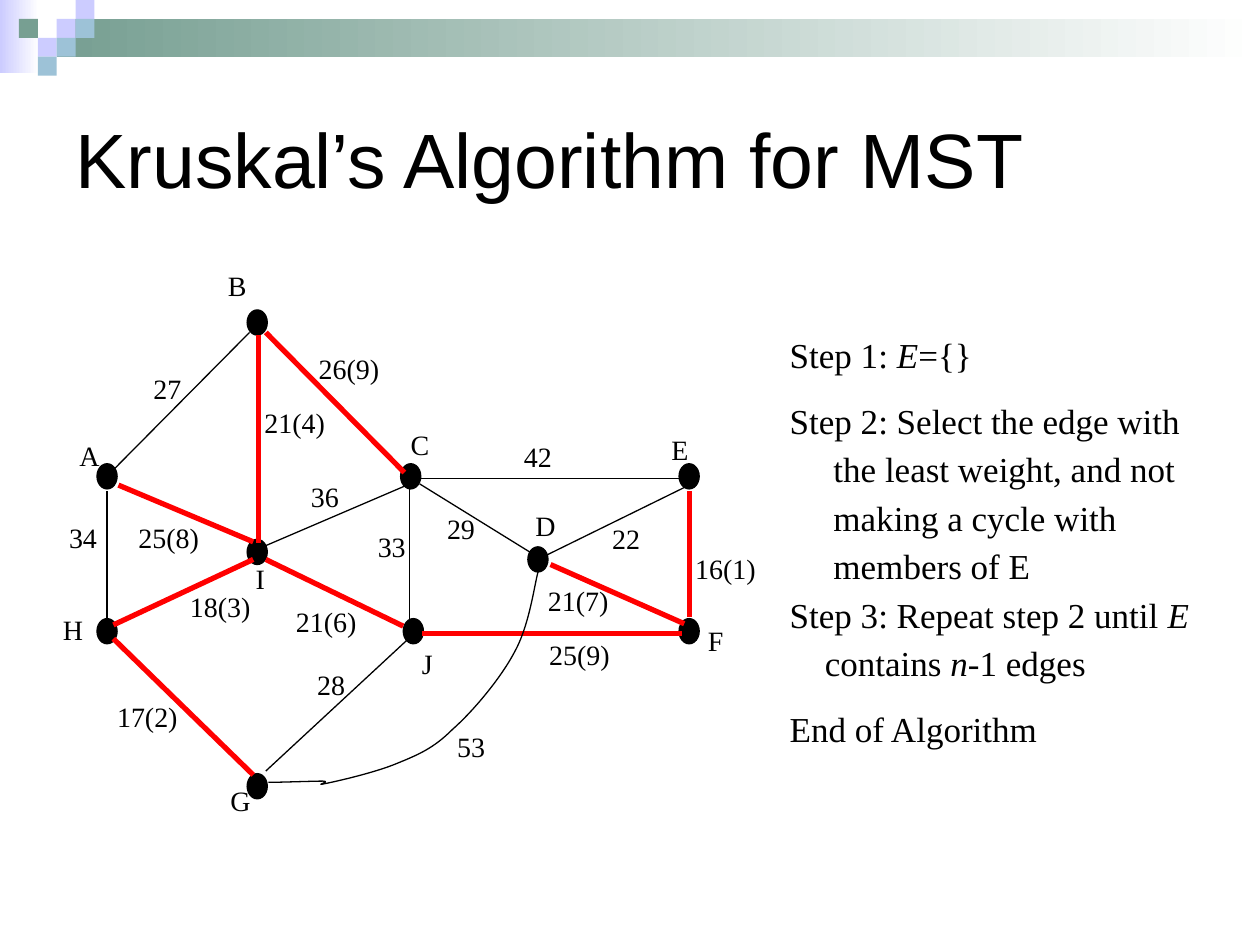
from dataclasses import dataclass

from lxml import etree
from pptx import Presentation
from pptx.dml.color import RGBColor
from pptx.enum.shapes import MSO_CONNECTOR, MSO_SHAPE
from pptx.enum.text import MSO_ANCHOR, PP_ALIGN
from pptx.oxml.ns import qn
from pptx.util import Pt

RECT = MSO_SHAPE.RECTANGLE
OVAL = MSO_SHAPE.OVAL
LINE = MSO_CONNECTOR.STRAIGHT
MIDDLE = MSO_ANCHOR.MIDDLE
TOP = MSO_ANCHOR.TOP
LEFT = PP_ALIGN.LEFT
JUST = PP_ALIGN.JUSTIFY


@dataclass(frozen=True)
class Theme:
    ink: str = "000000"
    tree: str = "FF0000"
    white: str = "FFFFFF"
    lilac: str = "CCCCFF"
    green: str = "779F92"
    blue: str = "9DC2D7"
    sans: str = "Arial"
    serif: str = "Times New Roman"
    title: float = 44
    body: float = 20
    label: float = 16
    thin: float = 0.75
    thick: float = 3


T = Theme()
CELL = 10.8
NODE = (11.5, 14.4)

TILES = [(4, 0, T.lilac), (3, 1, T.lilac), (4, 1, T.blue), (2, 2, T.lilac),
         (1, 1, T.green), (3, 2, T.blue), (2, 3, T.blue)]

NODES = {
    "B": ((147, 184.3), (123.1, 149.8, 49.7, 47.5)),
    "A": ((61.2, 272.2), (38.2, 247, 27.4, 32.4)),
    "C": ((234.7, 272.2), (227.5, 240.5, 28.1, 28.1)),
    "H": ((61.2, 360.7), (28.8, 346.3, 25.9, 31)),
    "J": ((236.2, 360.7), (234, 365.8, 23.8, 28.8)),
    "G": ((147, 449.3), (124.6, 444.2, 19.4, 28.1)),
    "I": ((147, 315.4), (139, 317.5, 27.4, 28.8)),
    "E": ((393.8, 272.2), (376.6, 243.4, 24.5, 25.2)),
    "F": ((393.8, 360.7), (397.4, 352.8, 23, 24.5)),
    "D": ((307.4, 319.7), (298.8, 287.3, 31.7, 25.2)),
}

EDGES = [
    ("27", (64, 269.3, 142.6, 190), (80.6, 208.8, 32.4, 29.5)),
    ("34", (61.2, 280.8, 61.2, 359.3), (32.4, 293.8, 31, 24.5)),
    ("26(9)", (151.9, 190, 231.1, 270), (175, 197.3, 71.3, 25.9)),
    ("17(2)", (64.8, 365, 144.7, 442.8), (59.8, 396, 64.1, 28.8)),
    ("28", (151.9, 440.6, 232.6, 365.8), (174.2, 378, 31, 29.5)),
    ("33", (234, 360, 234, 278.6), (208.8, 298.8, 33.8, 30.2)),
    ("25(8)", (67.7, 277.2, 144.7, 309.6), (72, 293.8, 50.4, 27.4)),
    ("18(3)", (64.8, 357.1, 144.7, 319.7), (101.5, 333.4, 54.7, 30.2)),
    ("36", (151.9, 311.8, 232.6, 277.2), (170.6, 270.7, 33.1, 31)),
    ("21(6)", (151.9, 319.7, 230.4, 357.8), (162, 342, 54, 28.8)),
    ("21(4)", (147.6, 191.5, 147.6, 310.3), (144, 228.2, 81.4, 31)),
    ("42", (239.8, 273.6, 388.1, 273.6), (292.3, 247.7, 37.4, 33.1)),
    ("25(9)", (241.2, 362.2, 389.5, 362.2), (306.7, 360.7, 53.3, 33.1)),
    ("16(1)", (393.8, 352.8, 393.8, 280.8), (390.2, 311.8, 59, 27.4)),
    ("29", (239.8, 276.5, 303.8, 316.1), (248.4, 288.7, 60.5, 52.6)),
    ("22", (311.8, 317.5, 391, 278.6), (342.7, 294.5, 31, 29.5)),
    ("21(7)", (314.6, 322.6, 391, 356.4), (306, 329.8, 54, 23.8)),
]

BEND = [
    (307.4, 326.9),
    (305.3, 334.8), (302.4, 357.8), (293.8, 373),
    (285.8, 388.1), (270, 406.8), (258.5, 416.9),
    (247.7, 427.7), (239, 431.3), (226.8, 436.3),
    (214.6, 441.4), (193, 446.4), (185.8, 447.8),
    (178.6, 449.3), (190.1, 446.4), (184.3, 446.4),
    (179.3, 446.4), (159.8, 447.1), (153.4, 447.1),
]

STEPS = [
    (12.5, 0, [("Step 1: ", False), ("E", True), ("={}", False)]),
    (12.5, 0, [("Step 2: Select the edge with", False)]),
    (2.5, 25, [("the least weight, and not", False)]),
    (2.5, 25, [("making a cycle with", False)]),
    (2.5, 25, [("members of E", False)]),
    (2.5, 0, [("Step 3: Repeat step 2 until ", False), ("E", True)]),
    (2.5, 20, [("contains ", False), ("n", True), ("-1 edges", False)]),
    (12.5, 0, [("End of Algorithm", False)]),
]


def rgb(code):
    return RGBColor.from_string(code)


def shape(slide, kind, box):
    item = slide.shapes.add_shape(kind, *map(Pt, box))
    item.shadow.inherit = False
    item.line.fill.background()
    return item


def tile(slide, box, hue):
    item = shape(slide, RECT, box)
    item.fill.solid()
    item.fill.fore_color.rgb = rgb(hue)


def fade(slide, box, hue):
    fill = shape(slide, RECT, box).fill
    fill.gradient()
    fill.gradient_angle = 180
    for stop, code in zip(fill.gradient_stops, (T.white, hue)):
        stop.color.rgb = rgb(code)


def stroke(line, hue, width):
    line.color.rgb = rgb(hue)
    line.width = Pt(width)


def node(slide, x, y):
    wide, high = NODE
    item = shape(slide, OVAL, (x - wide / 2, y - high / 2, wide, high))
    item.fill.solid()
    item.fill.fore_color.rgb = rgb(T.ink)
    stroke(item.line, T.ink, T.thin)


def edge(slide, ends, picked):
    item = slide.shapes.add_connector(LINE, *map(Pt, ends))
    etree.SubElement(item._element.spPr, qn("a:effectLst"))
    stroke(item.line, T.tree if picked else T.ink, T.thick if picked else T.thin)
    etree.SubElement


def curve(slide, dots):
    first, *rest = [(Pt(x), Pt(y)) for x, y in dots]
    pen = slide.shapes.build_freeform(*first)
    pen.add_line_segments(rest, close=False)
    item = pen.convert_to_shape()
    item.shadow.inherit = False
    item.fill.background()
    stroke(item.line, T.ink, T.thin)
    legs = list(item._element.iter(qn("a:lnTo")))
    route = legs[0].getparent()
    for i in range(0, len(legs), 3):
        bez = etree.SubElement(route, qn("a:cubicBezTo"))
        for leg in legs[i:i + 3]:
            bez.append(leg[0])
            route.remove(leg)


def text(slide, box, paras, size, font, align=LEFT, anchor=TOP, pitch=None):
    frame = slide.shapes.add_textbox(*map(Pt, box)).text_frame
    frame.word_wrap = True
    frame.vertical_anchor = anchor
    for i, (gap, inset, runs) in enumerate(paras):
        para = frame.add_paragraph() if i else frame.paragraphs[0]
        para.alignment = align
        para.space_before = Pt(gap)
        para.line_spacing = pitch
        para._p.get_or_add_pPr().set("marL", str(Pt(inset)))
        for words, slant in runs:
            run = para.add_run()
            run.text = words
            run.font.size = Pt(size)
            run.font.name = font
            run.font.italic = slant
            run.font.color.rgb = rgb(T.ink)


def label(slide, words, box):
    text(slide, box, [(0, 0, [(words, False)])], T.label, T.serif, JUST)


def main():
    deck = Presentation()
    deck.slide_width, deck.slide_height = Pt(720), Pt(540)
    slide = deck.slides.add_slide(deck.slide_layouts[6])

    fade(slide, (0, 0, 22.3, 41.8), T.lilac)
    fade(slide, (32.4, 10.8, 687.6, 21.6), T.green)
    for col, row, hue in TILES:
        tile(slide, (col * CELL, row * CELL, CELL, CELL), hue)
    text(slide, (36, 36, 648, 108),
         [(0, 0, [("Kruskal’s Algorithm for MST", False)])],
         T.title, T.sans, anchor=MIDDLE)

    for spot, _ in NODES.values():
        node(slide, *spot)
    for cost, ends, _ in EDGES:
        edge(slide, ends, "(" in cost)
    curve(slide, BEND)
    for cost, _, box in EDGES:
        label(slide, cost, box)
    label(slide, "53", (254.2, 413.3, 36, 32.4))
    for name, (_, box) in NODES.items():
        label(slide, name, box)

    text(slide, (444.2, 185.8, 246.2, 236.9), STEPS, T.body, T.serif, pitch=1.05)
    deck.save("out.pptx")


if __name__ == "__main__":
    main()
